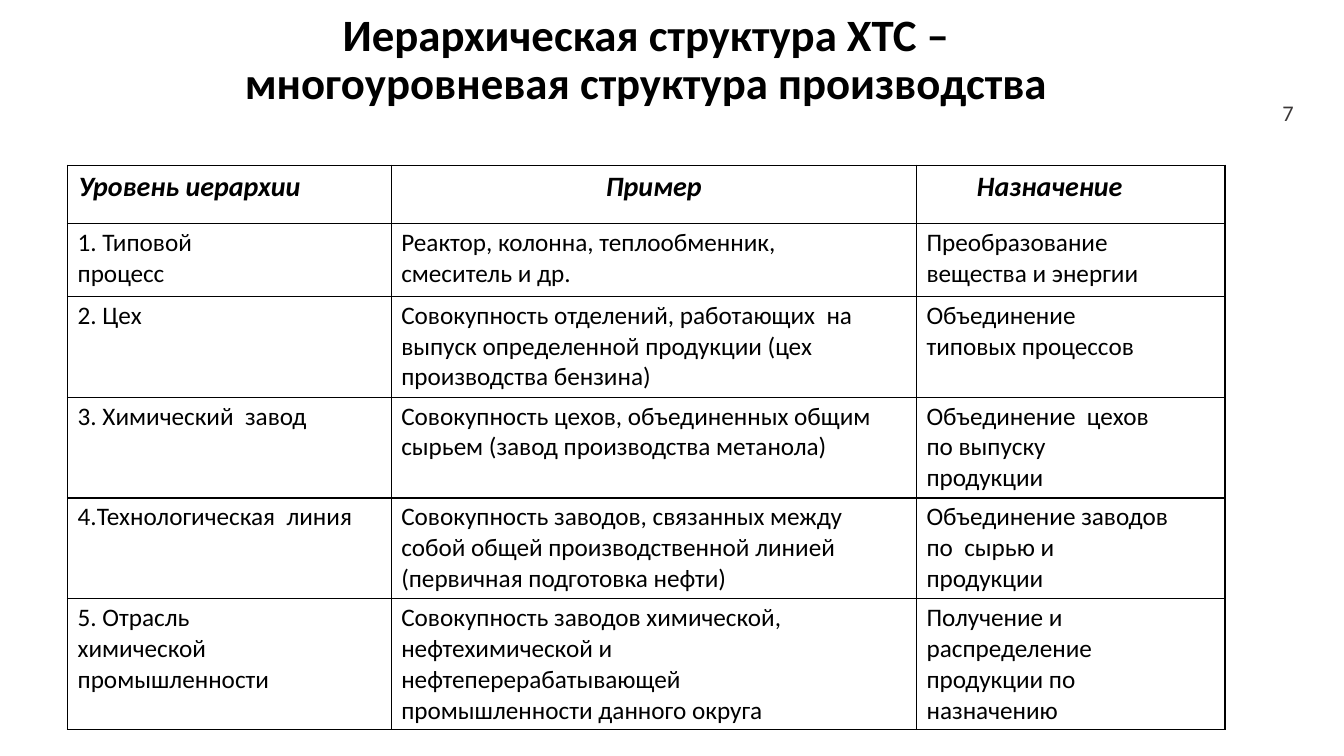
from lxml import etree
from pptx import Presentation
from pptx.dml.color import RGBColor
from pptx.enum.text import MSO_ANCHOR, MSO_AUTO_SIZE, PP_ALIGN
from pptx.oxml.ns import qn
from pptx.util import Inches, Pt

CENTER, LEFT = PP_ALIGN.CENTER, PP_ALIGN.LEFT
MIDDLE, TOP = MSO_ANCHOR.MIDDLE, MSO_ANCHOR.TOP
NO_FIT = MSO_AUTO_SIZE.NONE
FONT = "Calibri"
COLORS = {"text": "000000", "number": "3B3838", "paper": "FFFFFF", "border": "000000"}

TITLE = "Иерархическая структура ХТС –\vмногоуровневая структура производства"
HEADERS = [("Уровень иерархии", LEFT, 0.11), ("Пример", CENTER, 0), ("Назначение", LEFT, 0.6)]
LEVELS = [
    ("1. Типовой\vпроцесс",
     "Реактор, колонна, теплообменник,\vсмеситель и др.",
     "Преобразование\nвещества и энергии"),
    ("2. Цех",
     "Совокупность отделений, работающих  на\vвыпуск определенной продукции (цех\v"
     "производства бензина)",
     "Объединение\nтиповых процессов"),
    ("3. Химический  завод",
     "Совокупность цехов, объединенных общим\vсырьем (завод производства метанола)",
     "Объединение  цехов\vпо выпуску\vпродукции"),
    ("4.Технологическая  линия",
     "Совокупность заводов, связанных между\vсобой общей производственной линией\v"
     "(первичная подготовка нефти)",
     "Объединение заводов\vпо  сырью и\nпродукции"),
    ("5. Отрасль\vхимической\nпромышленности",
     "Совокупность заводов химической,\vнефтехимической и\n"
     "нефтеперерабатывающей\nпромышленности данного округа",
     "Получение и\vраспределение\vпродукции по\vназначению"),
]
COL_WIDTHS = [3.21, 5.21, 3.06]
ROW_HEIGHTS = [0.58, 0.72, 1, 1, 1, 1.3]


def rgb(name):
    return RGBColor.from_string(COLORS[name])


def write_text(p, text, size, color="text", bold=False, italic=False):
    for i, line in enumerate(text.split("\v")):
        if i:
            p.add_line_break()
        r = p.add_run()
        r.text = line
        r.font.name = FONT
        r.font.size = Pt(size)
        r.font.bold = bold
        r.font.italic = italic
        r.font.color.rgb = rgb(color)


def set_borders(cell):
    tc_pr = cell._tc.get_or_add_tcPr()
    for i, side in enumerate(("a:lnL", "a:lnR", "a:lnT", "a:lnB")):
        ln = etree.Element(qn(side), w=str(Pt(1)))
        fill = etree.SubElement(ln, qn("a:solidFill"))
        etree.SubElement(fill, qn("a:srgbClr"), val=COLORS["border"])
        tc_pr.insert(i, ln)


def fill_cell(cell, text, size, indent=0.1, align=LEFT, strong=False):
    cell.margin_left = Inches(indent)
    cell.margin_top = Inches(0.04)
    cell.margin_right = cell.margin_bottom = 0
    cell.vertical_anchor = TOP
    cell.fill.solid()
    cell.fill.fore_color.rgb = rgb("paper")
    set_borders(cell)
    tf = cell.text_frame
    for i, line in enumerate(text.split("\n")):
        p = tf.add_paragraph() if i else tf.paragraphs[0]
        p.alignment = align
        p.space_before = Pt(0 if i else 3)
        write_text(p, line, size, bold=strong, italic=strong)


def add_title(s, x, y, w, h):
    sp = s.shapes.title
    sp.left, sp.top, sp.width, sp.height = (Inches(v) for v in (x, y, w, h))
    tf = sp.text_frame
    tf.word_wrap = True
    tf.auto_size = NO_FIT
    tf.vertical_anchor = MIDDLE
    p = tf.paragraphs[0]
    p.alignment = CENTER
    p.line_spacing = 0.9
    write_text(p, TITLE, 32, bold=True)


def add_page_number(s, x, y, w, h):
    sp = s.shapes.add_textbox(*(Inches(v) for v in (x, y, w, h)))
    tf = sp.text_frame
    tf.word_wrap = True
    tf.vertical_anchor = MIDDLE
    p = tf.paragraphs[0]
    p.alignment = PP_ALIGN.RIGHT
    write_text(p, "7", 16, "number")


def add_levels_table(s, x, y, w, h):
    rows, cols = len(ROW_HEIGHTS), len(COL_WIDTHS)
    frame = s.shapes.add_table(rows, cols, *(Inches(v) for v in (x, y, w, h)))
    table = frame.table
    table.first_row = table.horz_banding = False
    for col, width in zip(table.columns, COL_WIDTHS):
        col.width = Inches(width * w / sum(COL_WIDTHS))
    for row, height in zip(table.rows, ROW_HEIGHTS):
        row.height = Inches(height * h / sum(ROW_HEIGHTS))
    for c, (text, align, indent) in enumerate(HEADERS):
        fill_cell(table.cell(0, c), text, 20, indent, align, True)
    for r, level in enumerate(LEVELS, 1):
        for c, text in enumerate(level):
            fill_cell(table.cell(r, c), text, 18)


def main():
    prs = Presentation()
    prs.slide_width, prs.slide_height = Inches(13.33), Inches(7.5)
    s = prs.slides.add_slide(prs.slide_layouts[5])
    s.background.fill.solid()
    s.background.fill.fore_color.rgb = rgb("paper")
    add_page_number(s, 12.42, 0.92, 0.51, 0.4)
    add_title(s, 0.92, 0.17, 10.98, 0.87)
    add_levels_table(s, 0.67, 1.64, 11.48, 5.6)
    prs.save("out.pptx")


if __name__ == "__main__":
    main()
